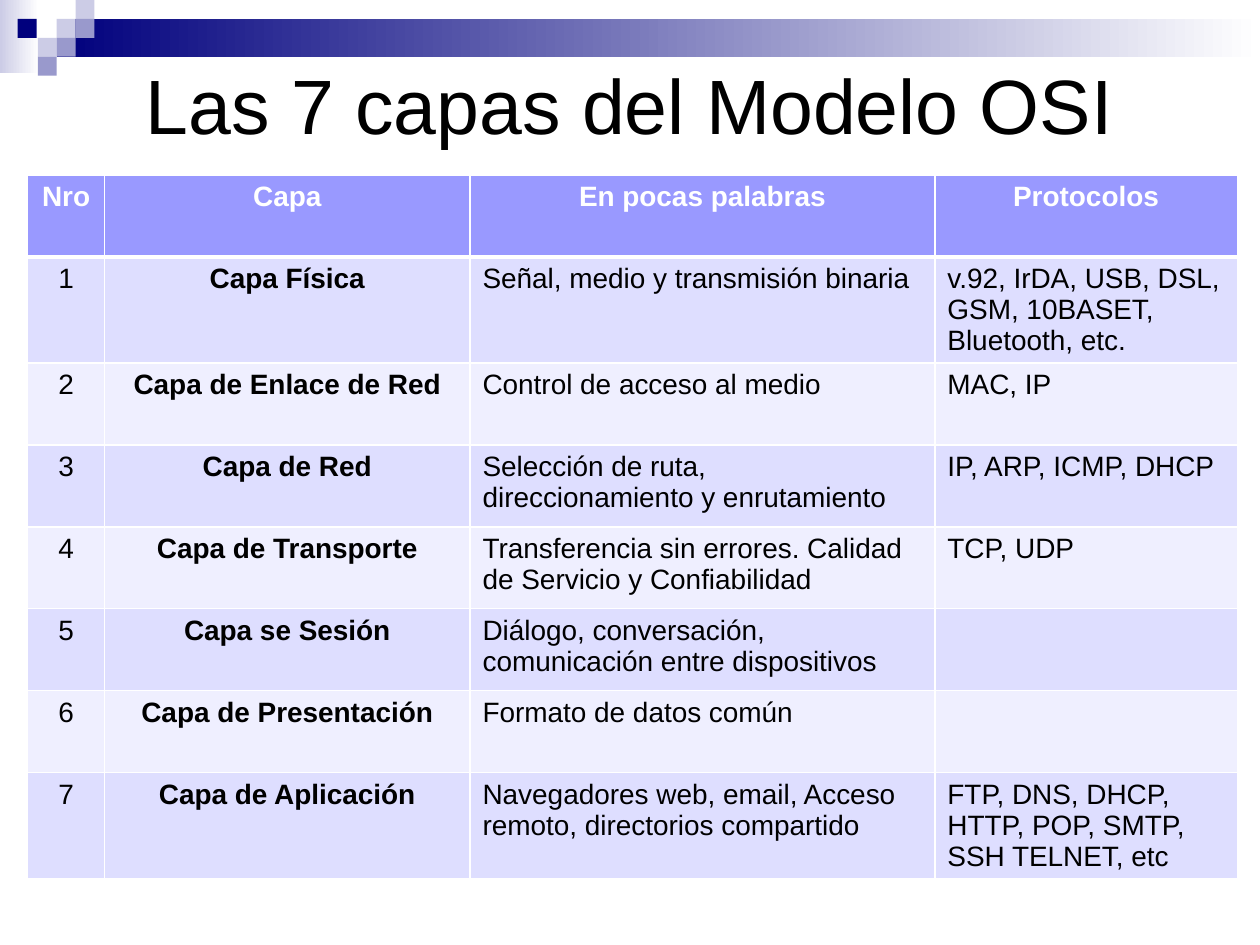
from lxml import etree
from pptx import Presentation
from pptx.dml.color import RGBColor
from pptx.enum.shapes import MSO_SHAPE
from pptx.enum.text import MSO_ANCHOR, MSO_AUTO_SIZE, PP_ALIGN
from pptx.oxml.ns import qn
from pptx.util import Inches, Pt

RECTANGLE = MSO_SHAPE.RECTANGLE
MIDDLE = MSO_ANCHOR.MIDDLE
NO_AUTOFIT = MSO_AUTO_SIZE.NONE
CENTER, LEFT = PP_ALIGN.CENTER, PP_ALIGN.LEFT

NAVY = RGBColor(0x00, 0x00, 0x7D)
LAVENDER = RGBColor(0xCC, 0xCC, 0xE6)
VIOLET = RGBColor(0x99, 0x99, 0xCC)
HEADER_FILL = RGBColor(0x99, 0x99, 0xFF)
ODD_FILL = RGBColor(0xDE, 0xDE, 0xFF)
EVEN_FILL = RGBColor(0xEF, 0xEF, 0xFF)
WHITE = RGBColor(0xFF, 0xFF, 0xFF)
BLACK = RGBColor(0x00, 0x00, 0x00)
FONT = "Arial"

HEADERS = ("Nro", "Capa", "En pocas palabras", "Protocolos")
LAYERS = (
    ("Capa Física", "Señal, medio y transmisión binaria",
     "v.92, IrDA, USB, DSL, GSM, 10BASET, Bluetooth, etc."),
    ("Capa de Enlace de Red", "Control de acceso al medio", "MAC, IP"),
    ("Capa de Red", "Selección de ruta, direccionamiento y enrutamiento",
     "IP, ARP, ICMP, DHCP"),
    ("Capa de Transporte",
     "Transferencia sin errores. Calidad de Servicio y Confiabilidad", "TCP, UDP"),
    ("Capa se Sesión", "Diálogo, conversación, comunicación entre dispositivos", ""),
    ("Capa de Presentación", "Formato de datos común", ""),
    ("Capa de Aplicación",
     "Navegadores web, email, Acceso remoto, directorios compartido",
     "FTP, DNS, DHCP, HTTP, POP, SMTP, SSH TELNET, etc"),
)
COLUMN_WIDTHS = (0.61, 2.9, 3.69, 2.4)
ROW_HEIGHT = 0.65


def add_block(left, top, width, height, color, fade=False):
    """Add a borderless rectangle, plain or fading to white on the right."""
    shape = slide.shapes.add_shape(
        RECTANGLE, Inches(left), Inches(top), Inches(width), Inches(height))
    shape.shadow.inherit = False
    shape.line.fill.background()
    if fade:
        shape.fill.gradient()
        shape.fill.gradient_angle = 0
        for stop, stop_color in zip(shape.fill.gradient_stops, (color, WHITE)):
            stop.color.rgb = stop_color
    else:
        shape.fill.solid()
        shape.fill.fore_color.rgb = color


def set_borders(cell, top, bottom):
    """Draw white cell borders; top and bottom are widths in points."""
    properties = cell._tc.get_or_add_tcPr()
    for side, width in (("L", 1), ("R", 1), ("T", top), ("B", bottom)):
        line = etree.SubElement(properties, qn(f"a:ln{side}"), w=str(Pt(width)))
        fill = etree.SubElement(line, qn("a:solidFill"))
        etree.SubElement(fill, qn("a:srgbClr"), val=str(WHITE))


presentation = Presentation()
presentation.slide_width = Inches(10)
presentation.slide_height = Inches(7.5)
slide = presentation.slides.add_slide(presentation.slide_layouts[5])

# Header band and squares
add_block(0, 0, 0.31, 0.58, LAVENDER, fade=True)
add_block(0.45, 0.15, 9.55, 0.3, NAVY, fade=True)
SQUARES = (
    (0.45, 0.15, LAVENDER), (0.6, 0, LAVENDER), (0.6, 0.15, VIOLET),
    (0.3, 0.3, LAVENDER), (0.14, 0.15, NAVY), (0.45, 0.3, VIOLET),
    (0.3, 0.45, VIOLET),
)
for left, top, color in SQUARES:
    add_block(left, top, 0.15, 0.15, color)

# Title
title = slide.shapes.title
title.left, title.top = Inches(0.5), Inches(0.5)
title.width, title.height = Inches(9), Inches(0.64)
title.text_frame.text = "Las 7 capas del Modelo OSI"
title.text_frame.auto_size = NO_AUTOFIT
title.text_frame.vertical_anchor = MIDDLE
paragraph = title.text_frame.paragraphs[0]
paragraph.alignment = CENTER
paragraph.font.name = FONT
paragraph.font.size = Pt(44)
paragraph.font.color.rgb = BLACK

# Table of layers
rows = [HEADERS] + [(str(number), *layer) for number, layer in enumerate(LAYERS, 1)]
table = slide.shapes.add_table(
    len(rows), len(HEADERS), Inches(0.22), Inches(1.39),
    Inches(sum(COLUMN_WIDTHS)), Inches(ROW_HEIGHT * len(rows))).table
for column, width in zip(table.columns, COLUMN_WIDTHS):
    column.width = Inches(width)

for row_index, row in enumerate(rows):
    table.rows[row_index].height = Inches(ROW_HEIGHT)
    is_header = row_index == 0
    if is_header:
        row_fill = HEADER_FILL
    else:
        row_fill = ODD_FILL if row_index % 2 else EVEN_FILL
    for column_index, text in enumerate(row):
        cell = table.cell(row_index, column_index)
        set_borders(cell, top=3 if row_index == 1 else 1, bottom=3 if is_header else 1)
        cell.fill.solid()
        cell.fill.fore_color.rgb = row_fill
        cell.text = text
        paragraph = cell.text_frame.paragraphs[0]
        paragraph.alignment = CENTER if is_header or column_index < 2 else LEFT
        paragraph.font.name = FONT
        paragraph.font.size = Pt(16)
        paragraph.font.bold = is_header or column_index == 1
        paragraph.font.color.rgb = WHITE if is_header else BLACK

presentation.save("out.pptx")
